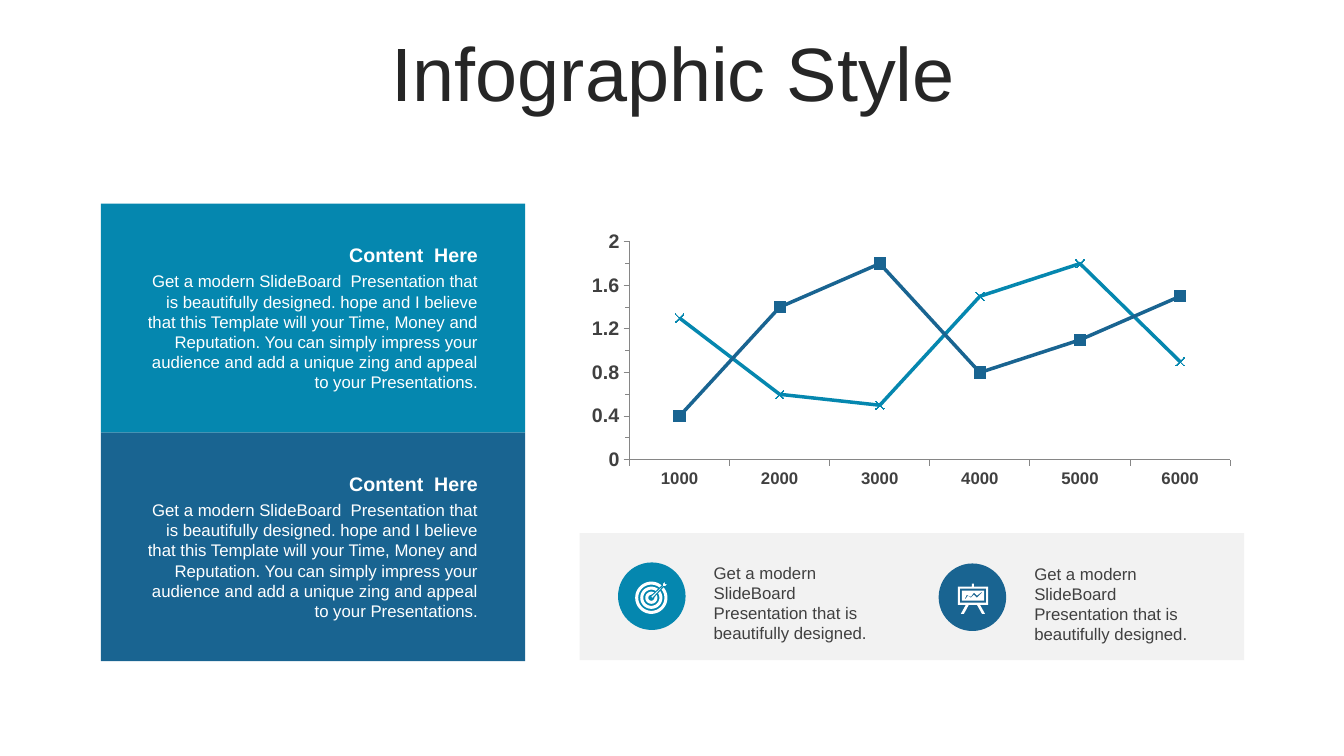
"""Build an infographic slide with two text panels, a line chart and two icon notes."""
import math
from dataclasses import dataclass

from lxml import etree
from pptx import Presentation
from pptx import util as u
from pptx.chart import data as chart_data
from pptx.dml.color import RGBColor
from pptx.enum import chart as ch
from pptx.enum import shapes as sh
from pptx.enum import text as tx
from pptx.oxml import ns

Point = tuple[float, float]
Contour = list[Point]


@dataclass(frozen=True)
class Theme:
    font: str = "Arial"
    teal: str = "0587AF"
    navy: str = "196491"
    white: str = "FFFFFF"
    pale: str = "F2F2F2"
    heading: str = "262626"
    body: str = "404040"
    axis: str = "868686"
    title_size: int = 54
    label_size: int = 14
    body_size: int = 12


@dataclass(frozen=True)
class Panel:
    top: float
    color: str


@dataclass(frozen=True)
class Note:
    left: float
    top: float
    color: str


@dataclass(frozen=True)
class Trend:
    name: str
    values: tuple[float, ...]
    color: str
    marker: ch.XL_MARKER_STYLE
    marker_size: int


THEME = Theme()
PITCH = "Get a modern SlideBoard  Presentation that is beautifully designed."
STORY = (PITCH[:-1] + ". hope and I believe that this Template will your Time, Money and "
         "Reputation. You can simply impress your audience and add a unique zing and "
         "appeal to your Presentations.")
PANELS = (Panel(4.29, THEME.navy), Panel(2.02, THEME.teal))
NOTES = (Note(6.13, 5.58, THEME.teal), Note(9.31, 5.59, THEME.navy))
YEARS = ("1000", "2000", "3000", "4000", "5000", "6000")
TRENDS = (
    Trend("Series 1", (1.3, 0.6, 0.5, 1.5, 1.8, 0.9), THEME.teal, ch.XL_MARKER_STYLE.X, 6),
    Trend("Series 2", (0.4, 1.4, 1.8, 0.8, 1.1, 1.5), THEME.navy, ch.XL_MARKER_STYLE.SQUARE, 8),
)
PLOT_AREA = {"x": 0.075, "y": 0.06, "w": 0.904, "h": 0.816}
BULLSEYE = (6.46, 5.93)
RING_RADII = (0.16, 0.13, 0.11, 0.08, 0.06, 0.03)
DART = [(6.45, 5.92), (6.57, 5.81), (6.57, 5.79), (6.6, 5.76), (6.6, 5.79),
        (6.63, 5.79), (6.6, 5.82), (6.58, 5.82), (6.47, 5.94)]
GRAPH_LINE = [(9.57, 5.94), (9.59, 5.9), (9.63, 5.92), (9.66, 5.88), (9.69, 5.91),
              (9.74, 5.87), (9.74, 5.88), (9.69, 5.93), (9.66, 5.9), (9.63, 5.93),
              (9.6, 5.91), (9.57, 5.95)]
EASEL_LEGS = [[(9.58, 6), (9.61, 6), (9.56, 6.09), (9.53, 6.09)],
              [(9.69, 6), (9.72, 6), (9.77, 6.09), (9.74, 6.09)]]


def rgb(color: str) -> RGBColor:
    """Turn a hex colour into an RGBColor."""
    return RGBColor.from_string(color)


def style_font(font, size: float, color: str, bold: bool = False) -> None:
    """Apply the theme font with a size, colour and weight."""
    font.name, font.size, font.bold = THEME.font, u.Pt(size), bold
    font.color.rgb = rgb(color)


def paint(shape, color: str) -> None:
    """Fill a shape plainly, without outline or shadow."""
    shape.shadow.inherit = False
    shape.fill.solid()
    shape.fill.fore_color.rgb = rgb(color)
    shape.line.fill.background()


def add_block(slide, kind, box: tuple[float, ...], color: str) -> None:
    """Add a plain preset shape."""
    paint(slide.shapes.add_shape(kind, *map(u.Inches, box)), color)


def add_words(slide, words: str, box: tuple[float, ...], size: int, color: str,
              align=tx.PP_ALIGN.LEFT, anchor=tx.MSO_ANCHOR.TOP, bold: bool = False) -> None:
    """Add a wrapping text box."""
    frame = slide.shapes.add_textbox(*map(u.Inches, box)).text_frame
    frame.text = words
    frame.word_wrap = True
    frame.auto_size = tx.MSO_AUTO_SIZE.SHAPE_TO_FIT_TEXT
    frame.vertical_anchor = anchor
    frame.paragraphs[0].alignment = align
    style_font(frame.paragraphs[0].runs[0].font, size, color, bold)


def add_outline(slide, contours: list[Contour]):
    """Add a white freeform whose nested contours cut holes."""
    points = [[(u.Inches(x), u.Inches(y)) for x, y in contour] for contour in contours]
    builder = slide.shapes.build_freeform(*points[0][0])
    builder.add_line_segments(points[0][1:])
    for contour in points[1:]:
        builder.move_to(*contour[0])
        builder.add_line_segments(contour[1:])
    outline = builder.convert_to_shape()
    paint(outline, THEME.white)
    return outline


def circle(center: Point, radius: float, steps: int = 48) -> Contour:
    """Return points around a circle."""
    angles = [2 * math.pi * step / steps for step in range(steps)]
    return [(center[0] + radius * math.cos(a), center[1] + radius * math.sin(a)) for a in angles]


def rectangle(left: float, top: float, width: float, height: float) -> Contour:
    """Return the corners of a rectangle."""
    right, bottom = left + width, top + height
    return [(left, top), (right, top), (right, bottom), (left, bottom)]


def add_title(slide) -> None:
    """Place and format the slide title."""
    title = slide.shapes.title
    title.left, title.top, title.width, title.height = map(u.Inches, (0.35, 0.37, 12.66, 0.79))
    frame = title.text_frame
    frame.text = "Infographic Style"
    frame.auto_size = tx.MSO_AUTO_SIZE.NONE
    frame.vertical_anchor = tx.MSO_ANCHOR.MIDDLE
    frame.paragraphs[0].alignment = tx.PP_ALIGN.CENTER
    frame.paragraphs[0].line_spacing = 0.9
    style_font(frame.paragraphs[0].runs[0].font, THEME.title_size, THEME.heading)


def add_trend_chart(slide) -> None:
    """Add the line chart with its axes and markers."""
    data = chart_data.CategoryChartData()
    data.categories = YEARS
    for trend in TRENDS:
        data.add_series(trend.name, trend.values)
    chart = slide.shapes.add_chart(ch.XL_CHART_TYPE.LINE_MARKERS,
                                   *map(u.Inches, (5.75, 2.24, 6.59, 2.65)), data).chart
    chart.has_legend = chart.has_title = False
    style_font(chart.font, THEME.body_size, THEME.body)
    chart.plots[0].vary_by_categories = False
    for series, trend in zip(chart.plots[0].series, TRENDS):
        series.smooth = False
        series.format.line.width = u.Pt(2.5)
        series.format.line.color.rgb = rgb(trend.color)
        series.marker.style, series.marker.size = trend.marker, trend.marker_size
        series.marker.format.fill.solid()
        series.marker.format.fill.fore_color.rgb = rgb(trend.color)
        series.marker.format.line.color.rgb = rgb(trend.color)
    for axis, size in ((chart.category_axis, THEME.body_size), (chart.value_axis, THEME.label_size)):
        axis.has_major_gridlines = False
        axis.major_tick_mark = ch.XL_TICK_MARK.OUTSIDE
        axis.format.line.color.rgb = rgb(THEME.axis)
        style_font(axis.tick_labels.font, size, THEME.body, True)
    scale = chart.value_axis
    scale.minimum_scale, scale.maximum_scale, scale.major_unit, scale.minor_unit = 0, 2, 0.4, 0.2
    scale.minor_tick_mark = ch.XL_TICK_MARK.OUTSIDE
    plot_area = chart.plots[0]._element.getparent()
    for old in plot_area.findall(ns.qn("c:layout")):
        plot_area.remove(old)
    layout = etree.Element(ns.qn("c:layout"))
    manual = etree.SubElement(layout, ns.qn("c:manualLayout"))
    settings = {"layoutTarget": "inner", "xMode": "edge", "yMode": "edge", **PLOT_AREA}
    for tag, value in settings.items():
        etree.SubElement(manual, ns.qn(f"c:{tag}")).set("val", str(value))
    plot_area.insert(0, layout)


def main() -> None:
    """Assemble and save the slide."""
    deck = Presentation()
    deck.slide_width, deck.slide_height = u.Inches(13.33), u.Inches(7.5)
    slide = deck.slides.add_slide(deck.slide_layouts[5])
    add_title(slide)
    add_trend_chart(slide)
    for panel in PANELS:
        add_block(slide, sh.MSO_SHAPE.RECTANGLE, (1, panel.top, 4.21, 2.27), panel.color)
        add_words(slide, "Content  Here", (1.3, panel.top + 0.34, 3.54, 0.34), THEME.label_size,
                  THEME.white, tx.PP_ALIGN.RIGHT, tx.MSO_ANCHOR.MIDDLE, True)
        add_words(slide, STORY.replace("designed..", "designed."),
                  (1.3, panel.top + 0.62, 3.54, 1.31), THEME.body_size, THEME.white,
                  tx.PP_ALIGN.RIGHT)
    add_block(slide, sh.MSO_SHAPE.RECTANGLE, (5.75, 5.29, 6.59, 1.26), THEME.pale)
    for note in NOTES:
        add_block(slide, sh.MSO_SHAPE.OVAL, (note.left, note.top, 0.67, 0.67), note.color)
        add_words(slide, PITCH, (note.left + 0.85, note.top - 0.05, 1.92, 0.91),
                  THEME.body_size, THEME.body)
    add_outline(slide, [circle(BULLSEYE, radius) for radius in RING_RADII])
    dart = add_outline(slide, [DART])
    dart.line.color.rgb, dart.line.width = rgb(THEME.teal), u.Pt(0.75)
    add_outline(slide, [rectangle(9.5, 5.82, 0.3, 0.18), rectangle(9.52, 5.84, 0.26, 0.14),
                        rectangle(9.54, 5.86, 0.22, 0.1), GRAPH_LINE,
                        rectangle(9.64, 5.79, 0.02, 0.03), *EASEL_LEGS])
    deck.save("out.pptx")


if __name__ == "__main__":
    main()
